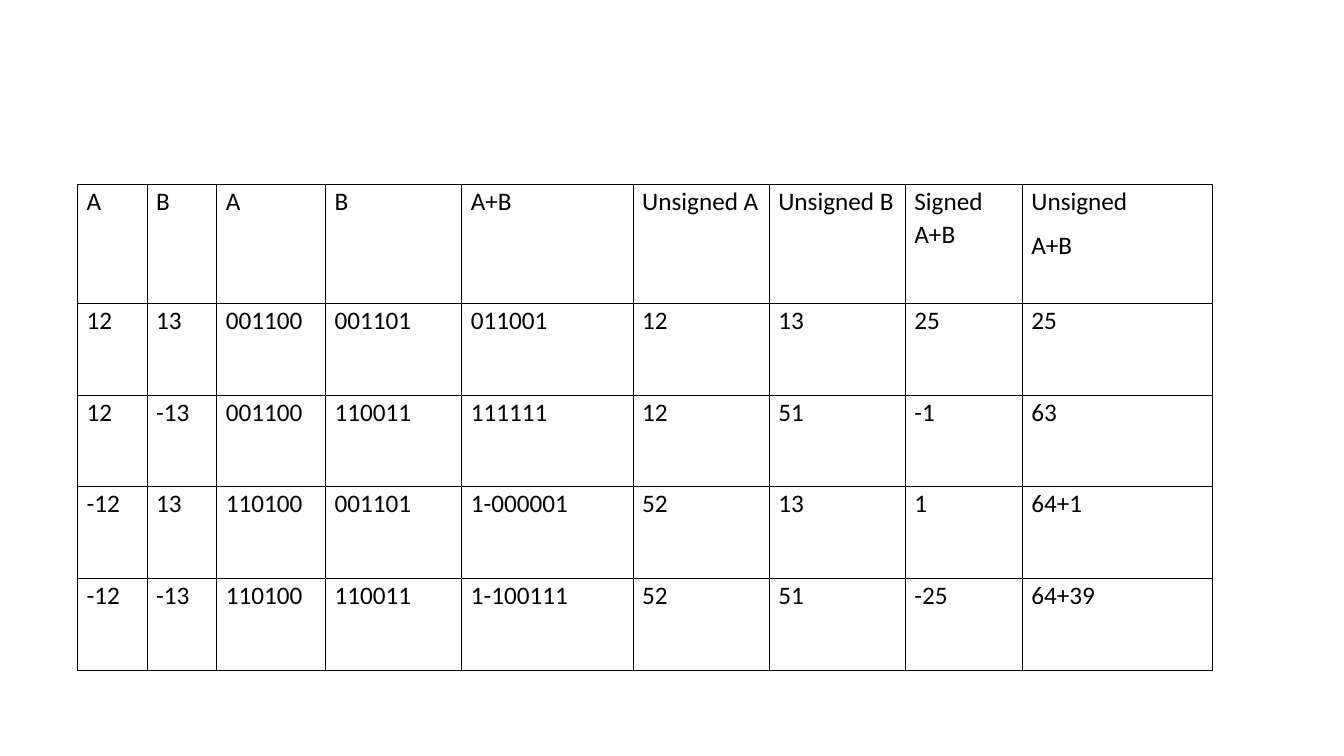
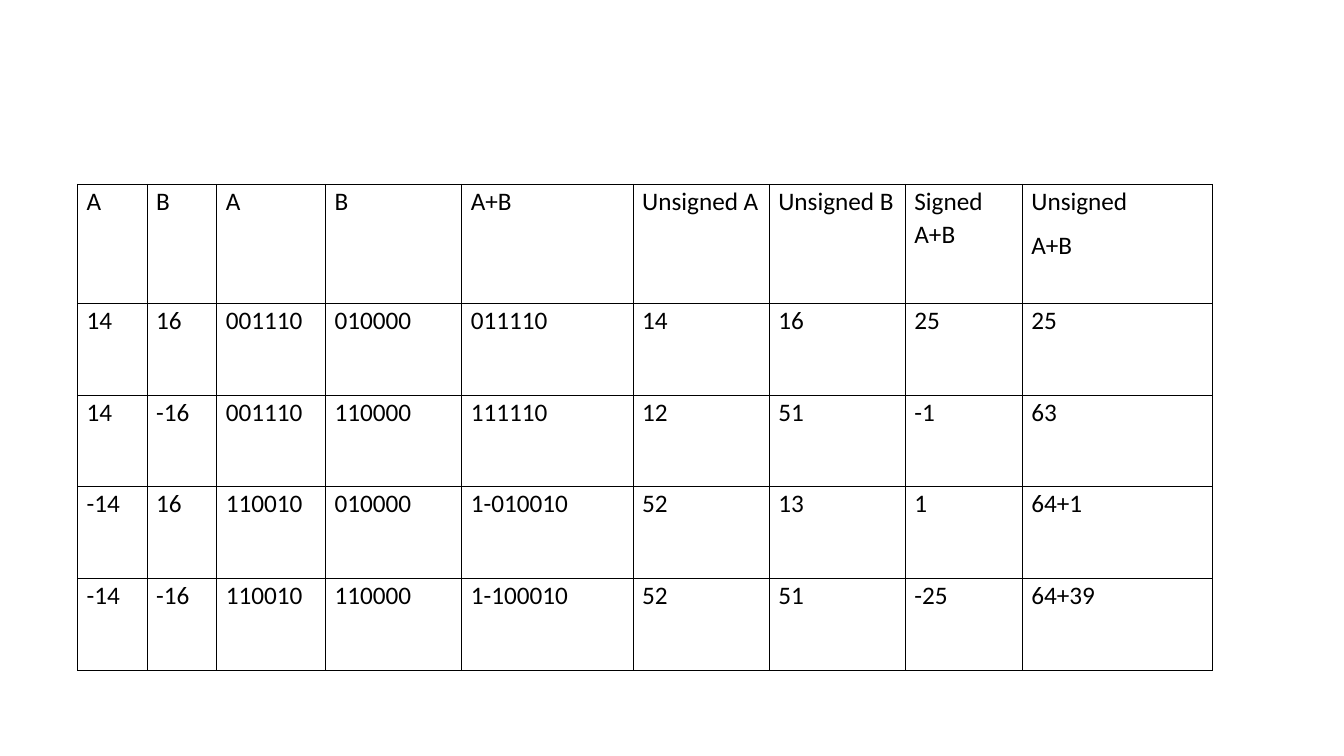
"""Two slides of six-bit signed and unsigned addition tables."""
from dataclasses import dataclass

from lxml import etree
from pptx import Presentation
from pptx import util as u
from pptx.dml.color import RGBColor
from pptx.oxml import ns


@dataclass(frozen=True)
class Theme:
    ink: str = "000000"
    font: str = "Calibri"
    size: int = 18
    rule: int = 1
    line_spacing: float = 1.07
    space_after: int = 8
    margin: float = 0.09


THEME = Theme()
LEFT, TOP = 0.77, 1.83
COLUMN_WIDTHS = [0.69, 0.69, 1.08, 1.35, 1.7, 1.35, 1.35, 1.16, 1.89]
ROW_HEIGHTS = [1.18] + [0.91] * 4
HEADER = ["A", "B", "A", "B", "A+B", "Unsigned A", "Unsigned B", "Signed A+B", "Unsigned\nA+B"]
ADDITIONS = [
    [
        "12 13 001100 001101 011001 12 13 25 25",
        "12 -13 001100 110011 111111 12 51 -1 63",
        "-12 13 110100 001101 1-000001 52 13 1 64+1",
        "-12 -13 110100 110011 1-100111 52 51 -25 64+39",
    ],
    [
        "14 16 001110 010000 011110 14 16 25 25",
        "14 -16 001110 110000 111110 12 51 -1 63",
        "-14 16 110010 010000 1-010010 52 13 1 64+1",
        "-14 -16 110010 110000 1-100010 52 51 -25 64+39",
    ],
]


def add_borders(cell):
    properties = cell._tc.get_or_add_tcPr()
    for side in ("a:lnL", "a:lnR", "a:lnT", "a:lnB"):
        line = etree.SubElement(properties, ns.qn(side), w=str(u.Pt(THEME.rule)))
        fill = etree.SubElement(line, ns.qn("a:solidFill"))
        etree.SubElement(fill, ns.qn("a:srgbClr"), val=THEME.ink)


def fill_cell(cell, words):
    cell.margin_left = cell.margin_right = u.Inches(THEME.margin)
    cell.margin_top = cell.margin_bottom = 0
    add_borders(cell)
    cell.fill.background()
    cell.text_frame.text = words
    for paragraph in cell.text_frame.paragraphs:
        paragraph.line_spacing = THEME.line_spacing
        paragraph.space_after = u.Pt(THEME.space_after)
        for span in paragraph.runs:
            span.font.name = THEME.font
            span.font.size = u.Pt(THEME.size)
            span.font.bold = False
            span.font.color.rgb = RGBColor.from_string(THEME.ink)


deck = Presentation()
deck.slide_width, deck.slide_height = u.Inches(13.33), u.Inches(7.5)

for additions in ADDITIONS:
    page = deck.slides.add_slide(deck.slide_layouts[6])
    rows = [HEADER] + [addition.split() for addition in additions]
    table = page.shapes.add_table(
        len(rows), len(HEADER), u.Inches(LEFT), u.Inches(TOP),
        u.Inches(sum(COLUMN_WIDTHS)), u.Inches(sum(ROW_HEIGHTS)),
    ).table
    table.first_row = table.horz_banding = False
    for column, width in zip(table.columns, COLUMN_WIDTHS):
        column.width = u.Inches(width)
    for row, height, entries in zip(table.rows, ROW_HEIGHTS, rows):
        row.height = u.Inches(height)
        for cell, words in zip(row.cells, entries):
            fill_cell(cell, words)

deck.save("out.pptx")
